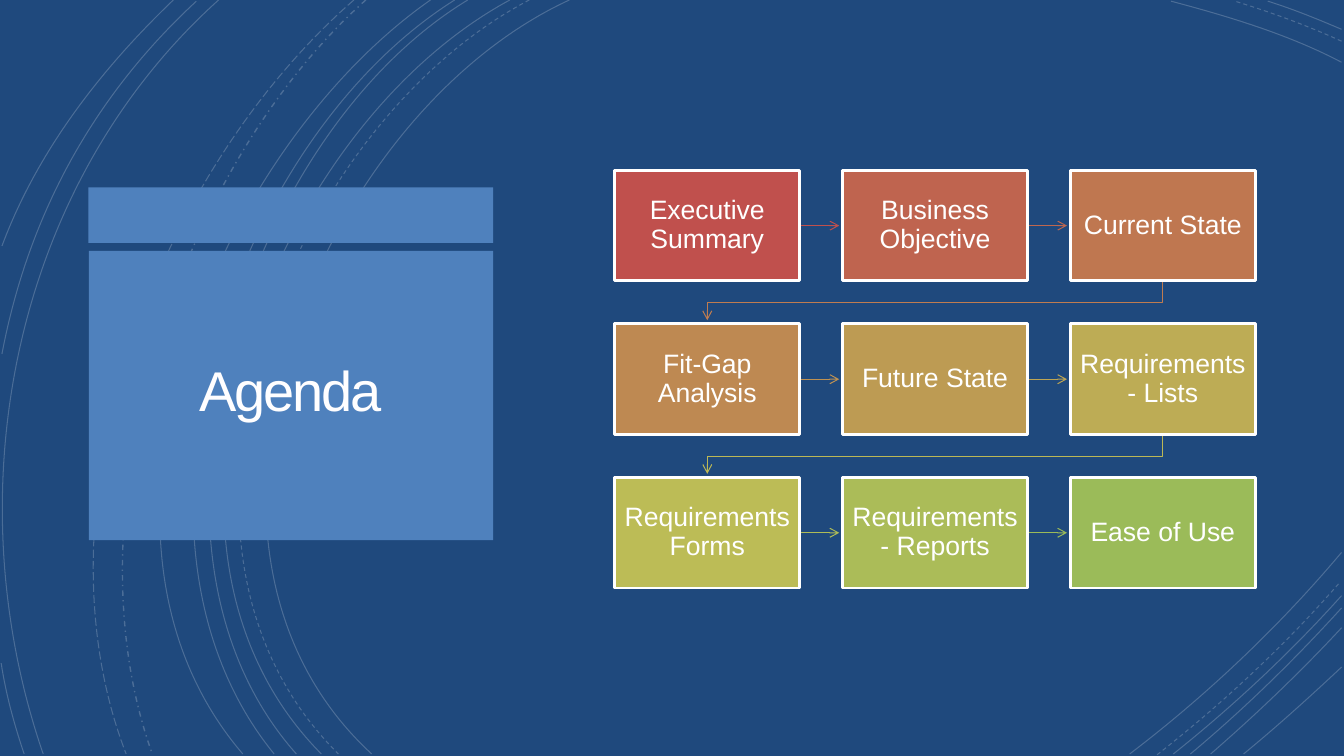
"""Build the agenda slide: curved backdrop, title panel and nine-step flow."""
from dataclasses import dataclass
from typing import NamedTuple

from lxml.etree import SubElement
from pptx import Presentation
from pptx.dml.color import RGBColor
from pptx.enum.dml import MSO_LINE
from pptx.enum.shapes import MSO_CONNECTOR, MSO_SHAPE
from pptx.enum.text import MSO_ANCHOR, MSO_AUTO_SIZE, PP_ALIGN
from pptx.oxml.ns import qn
from pptx.util import Cm, Pt

Point = tuple[float, float]


@dataclass(frozen=True)
class Theme:
    back: str = "1F497D"
    panel: str = "4F81BD"
    white: str = "FFFFFF"
    title: str = "FFFEFF"
    font: str = "Arial"
    head_size: float = 40
    card_size: float = 19
    thin: float = 0.75
    edge: float = 2
    alpha: int = 20


class Arc(NamedTuple):
    points: list[Point]
    dash: MSO_LINE = MSO_LINE.SOLID
    width: float = 0.75


class Box(NamedTuple):
    left: float
    top: float
    width: float
    height: float


class Step(NamedTuple):
    text: str
    fill: str
    arrow: str = ""


THEME = Theme()
DASH = MSO_LINE.DASH

ARCS = [
    Arc([(14.35, 0), (8, 2.92), (3.63, 13.72), (9.37, 19)]),
    Arc([(33.81, 1.57), (32.46, 0.86), (30.94, 0.41), (29.51, 0.03)]),
    Arc([(28.47, 19), (30.4, 17.53), (32.23, 15.8), (33.81, 13.92)]),
    Arc([(13.34, 0), (7.24, 3.18), (3.12, 13.64), (8.53, 19)], DASH),
    Arc([(33.81, 1.04), (32.94, 0.64), (32, 0.3), (31.12, 0.03)], DASH),
    Arc([(29.16, 19.02), (30.81, 17.73), (32.39, 16.26), (33.78, 14.66)], DASH),
    Arc([(12.85, 0), (6.86, 3.23), (2.79, 13.64), (8.1, 19)]),
    Arc([(33.81, 0.74), (33.2, 0.48), (32.59, 0.23), (31.95, 0.03)]),
    Arc([(29.57, 19), (31.06, 17.81), (32.51, 16.46), (33.81, 15.01)]),
    Arc([(11.79, 0), (6.2, 3.38), (2.79, 13.74), (7.47, 19)]),
    Arc([(30, 19), (31.34, 17.88), (32.61, 16.64), (33.81, 15.32)]),
    Arc([(11.46, 0), (5.87, 3.51), (2.46, 13.54), (6.91, 19)]),
    Arc([(30.51, 19), (31.65, 18.01), (32.77, 16.94), (33.81, 15.82)]),
    Arc([(10.85, 0), (5.51, 3.73), (1.35, 13.44), (6.12, 19)]),
    Arc([(31.34, 19), (32.18, 18.31), (32.99, 17.58), (33.81, 16.81)]),
    Arc([(9.22, 0), (4.47, 4.22), (1.65, 12.93), (3.84, 19)], MSO_LINE.DASH_DOT, 1),
    Arc([(8.92, 0), (3.99, 4.29), (0.74, 12.67), (3.18, 19)], MSO_LINE.LONG_DASH),
    Arc([(5.51, 0), (0.28, 4.7), (-1.17, 12.45), (1.09, 19)]),
    Arc([(4.95, 0.03), (2.34, 2.44), (0.71, 5.44), (0.05, 8.92)]),
    Arc([(0.03, 16.71), (0.15, 17.5), (0.36, 18.26), (0.61, 19)]),
    Arc([(4.37, 0), (2.54, 1.75), (0.94, 3.81), (0.05, 6.2)]),
]

PANELS = [Box(2.23, 4.72, 10.2, 1.4), Box(2.24, 6.32, 10.19, 7.29)]
HEAD = Box(2.46, 6.53, 9.73, 6.83)

STEPS = [
    Step("Executive Summary", "C0504D", "C0504D"),
    Step("Business Objective", "BF644F", "BF674F"),
    Step("Current State", "BF7750", "BF7C50"),
    Step("Fit-Gap Analysis", "BE8952", "BE9152"),
    Step("Future State", "BD9B53", "BDA554"),
    Step("Requirements - Lists", "BDAC55", "BCB856"),
    Step("Requirements Forms", "BCBC56", "AEBC57"),
    Step("Requirements - Reports", "ABBC58", "9BBB59"),
    Step("Ease of Use", "9BBB59"),
]
COLS = 3
CARD = Box(15.49, 4.29, 4.67, 2.79)
STEP_X, STEP_Y = 5.74, 3.87
REACH, BEND = 0.99, 0.55


def ink(line, color: str, width: float) -> None:
    """Colour a line and set its width in points."""
    line.color.rgb = RGBColor.from_string(color)
    line.width = Pt(width)


def add_trace(slide, points: list[Point], color: str, width: float):
    """Draw an open, unfilled outline through the points."""
    first, *rest = [(Cm(x), Cm(y)) for x, y in points]
    pen = slide.shapes.build_freeform(*first)
    pen.add_line_segments(rest, close=False)
    shape = pen.convert_to_shape()
    shape.shadow.inherit = False
    shape.fill.background()
    ink(shape.line, color, width)
    return shape


def add_arc(slide, arc: Arc) -> None:
    """Draw one faint cubic curve of the backdrop."""
    shape = add_trace(slide, arc.points, THEME.white, arc.width)
    shape.line.dash_style = arc.dash
    color = next(shape.line._ln.iter(qn("a:srgbClr")))
    SubElement(color, qn("a:alpha"), val=str(THEME.alpha * 1000))
    parts = list(shape._element.iter(qn("a:lnTo")))
    curve = SubElement(parts[0].getparent(), qn("a:cubicBezTo"))
    for part in parts:
        curve.append(part[0])
        part.getparent().remove(part)


def add_rect(slide, box: Box, fill: str):
    """Draw a flat filled rectangle."""
    shape = slide.shapes.add_shape(MSO_SHAPE.RECTANGLE, *map(Cm, box))
    shape.shadow.inherit = False
    shape.fill.solid()
    shape.fill.fore_color.rgb = RGBColor.from_string(fill)
    shape.line.fill.background()
    return shape


def set_text(shape, text: str, size: float, color: str, inset: float, space: float) -> None:
    """Fill a shape with centred text."""
    frame = shape.text_frame
    frame.text = text
    frame.word_wrap = True
    frame.auto_size = MSO_AUTO_SIZE.NONE
    frame.vertical_anchor = MSO_ANCHOR.MIDDLE
    frame.margin_left = frame.margin_right = Cm(inset)
    frame.margin_top = frame.margin_bottom = Cm(inset)
    para = frame.paragraphs[0]
    para.alignment = PP_ALIGN.CENTER
    para.line_spacing = space
    font = para.runs[0].font
    font.name = THEME.font
    font.size = Pt(size)
    font.color.rgb = RGBColor.from_string(color)


def add_title(slide) -> None:
    """Place the title in front of its panel."""
    title = slide.shapes.title
    title.left, title.top, title.width, title.height = map(Cm, HEAD)
    set_text(title, "Agenda", THEME.head_size, THEME.title, 0.64, 0.85)
    run = title.text_frame.paragraphs[0].runs[0]
    run.font._element.set("spc", "-150")
    slide.shapes._spTree.append(title._element)


def add_arrow(slide, box: Box, step: Step, last: bool) -> None:
    """Lead from a card to the next one, or down to the next row."""
    if last:
        mid, base = box.left + box.width / 2, box.top + box.height
        back = mid - (COLS - 1) * STEP_X
        points = [(mid, base), (mid, base + BEND), (back, base + BEND), (back, base + REACH)]
        link = add_trace(slide, points, step.arrow, THEME.thin)
    else:
        start, y = box.left + box.width, box.top + box.height / 2
        ends = map(Cm, (start, y, start + REACH, y))
        link = slide.shapes.add_connector(MSO_CONNECTOR.STRAIGHT, *ends)
        ink(link.line, step.arrow, THEME.thin)
        SubElement(link._element.spPr, qn("a:effectLst"))
    SubElement(link.line._ln, qn("a:tailEnd"), type="arrow")


def add_flow(slide) -> None:
    """Lay out the cards in rows with their arrows."""
    for i, step in enumerate(STEPS):
        row, col = divmod(i, COLS)
        box = CARD._replace(left=CARD.left + col * STEP_X, top=CARD.top + row * STEP_Y)
        if step.arrow:
            add_arrow(slide, box, step, col == COLS - 1)
        card = add_rect(slide, box, step.fill)
        ink(card.line, THEME.white, THEME.edge)
        set_text(card, step.text, THEME.card_size, THEME.white, 0.23, 0.9)


def main() -> None:
    """Build and save the deck."""
    deck = Presentation()
    deck.slide_width, deck.slide_height = Cm(33.87), Cm(19.05)
    slide = deck.slides.add_slide(deck.slide_layouts[5])
    slide.background.fill.solid()
    slide.background.fill.fore_color.rgb = RGBColor.from_string(THEME.back)
    for arc in ARCS:
        add_arc(slide, arc)
    for box in PANELS:
        add_rect(slide, box, THEME.panel)
    add_title(slide)
    add_flow(slide)
    deck.save("out.pptx")


if __name__ == "__main__":
    main()
